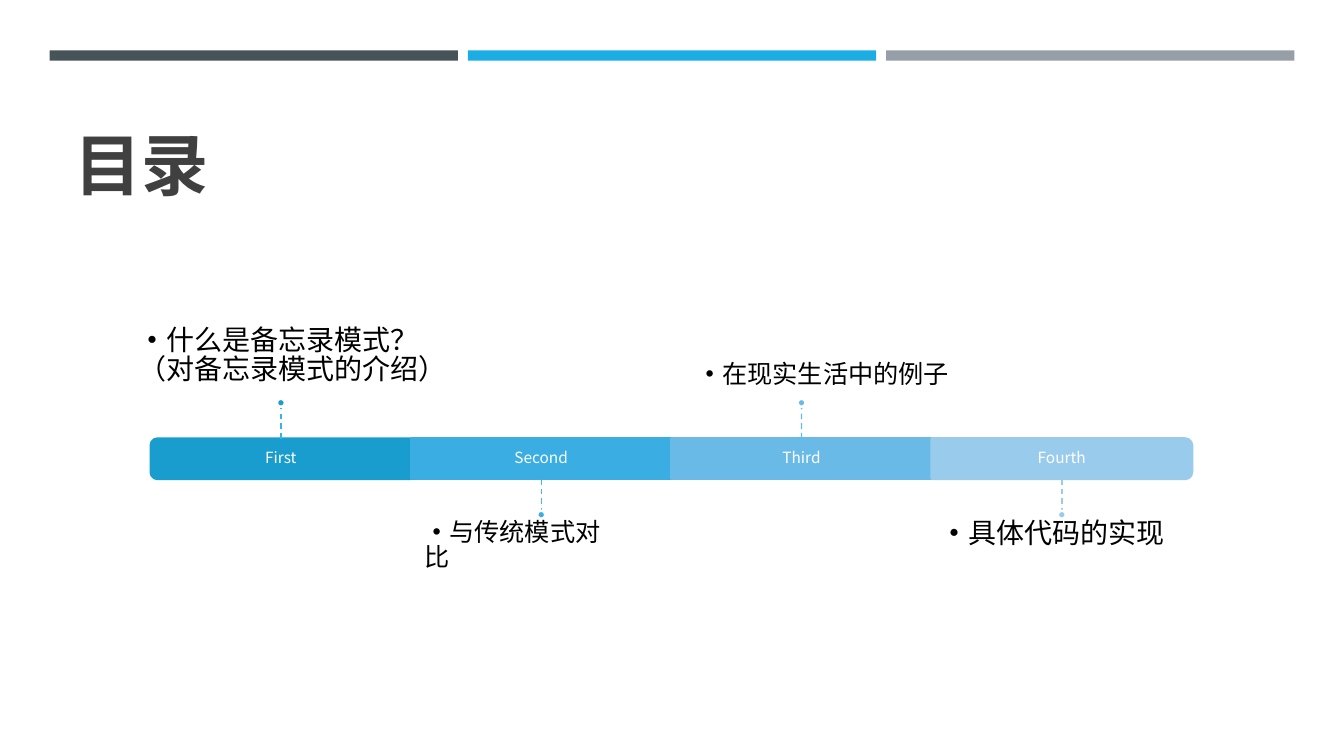
import pptx
import pptx.util
import pptx.dml.color
import pptx.enum.dml
import pptx.enum.shapes
import pptx.enum.text
import pptx.oxml.ns
from lxml import etree

Cm = pptx.util.Cm
Pt = pptx.util.Pt
RGBColor = pptx.dml.color.RGBColor
MSO_SHAPE = pptx.enum.shapes.MSO_SHAPE
MSO_ANCHOR = pptx.enum.text.MSO_ANCHOR
MSO_AUTO_SIZE = pptx.enum.text.MSO_AUTO_SIZE
PP_ALIGN = pptx.enum.text.PP_ALIGN
qn = pptx.oxml.ns.qn

WHITE = RGBColor(0xFF, 0xFF, 0xFF)
BLACK = RGBColor(0x00, 0x00, 0x00)
TITLE_GREY = RGBColor(0x40, 0x40, 0x40)
STRIP_COLORS = (
    RGBColor(0x46, 0x53, 0x59),
    RGBColor(0x1C, 0xAD, 0xE4),
    RGBColor(0x96, 0x9F, 0xA7),
)

STRIP_LEFT, STRIP_PITCH, STRIP_WIDTH = 1.25, 10.54, 10.29
BAR_LEFT, BAR_TOP, BAR_HEIGHT = 3.8, 11.05, 1.02
STEP_WIDTH, STEM_LENGTH, DOT_SIZE = 6.56, 0.8, 0.2

# label, segment colour, stem colour, rotation of a rounded end, callout above the bar
STEPS = (
    ("First", RGBColor(0x19, 0x9D, 0xCF), RGBColor(0x36, 0xB3, 0xE9), 270, True),
    ("Second", RGBColor(0x3A, 0xAD, 0xE3), RGBColor(0x48, 0xB8, 0xEC), 0, False),
    ("Third", RGBColor(0x6A, 0xBA, 0xE7), RGBColor(0x5A, 0xBE, 0xEF), 0, True),
    ("Fourth", RGBColor(0x99, 0xCB, 0xEC), RGBColor(0x98, 0xCB, 0xEC), 90, False),
)

# left, top, width, height, size, font, lines
TOPICS = (
    (3.23, 8.15, 8.59, 2.74, 20, "Noto Sans CJK SC",
     ("什么是备忘录模式？", "（对备忘录模式的介绍）")),
    (10.44, 13.0, 5.31, 1.8, 18, "Noto Sans CJK SC", ("与传统模式对比",)),
    (17.32, 9.02, 6.88, 1.02, 18, "Noto Sans CJK SC", ("在现实生活中的例子",)),
    (23.44, 13.0, 7.42, 1.12, 20, "Roboto", ("具体代码的实现",)),
)


class Agenda:
    font = "Noto Sans CJK SC"

    def __init__(self, deck):
        self.slide = deck.slides.add_slide(deck.slide_layouts[5])
        self.shapes = self.slide.shapes

    def style_run(self, run, size, color, bold=False, font=None):
        """Set the same typeface for Latin and East Asian text."""
        name = font or self.font
        run.font.size = Pt(size)
        run.font.bold = bold
        run.font.color.rgb = color
        run.font.name = name
        latin = run.font._element.find(qn("a:latin"))
        east_asian = etree.Element(qn("a:ea"), typeface=name)
        latin.addnext(east_asian)

    def title(self, text):
        title = self.shapes.title
        title.left, title.top = Cm(1.63), Cm(1.96)
        title.width, title.height = Cm(30.63), Cm(3.3)
        frame = title.text_frame
        frame.vertical_anchor = MSO_ANCHOR.BOTTOM
        paragraph = frame.paragraphs[0]
        paragraph.alignment = PP_ALIGN.LEFT
        paragraph.line_spacing = 0.84
        run = paragraph.add_run()
        run.text = text
        self.style_run(run, 48, TITLE_GREY, bold=True)

    def block(self, kind, left, top, width, height, fill, line=None):
        block = self.shapes.add_shape(kind, Cm(left), Cm(top), Cm(width), Cm(height))
        block.shadow.inherit = False
        block.fill.solid()
        block.fill.fore_color.rgb = fill
        if line is None:
            block.line.fill.background()
        else:
            block.line.color.rgb = line
            block.line.width = Pt(1.75)
        return block

    def segment(self, left, color, rotation):
        if not rotation:
            return self.block(MSO_SHAPE.RECTANGLE, left, BAR_TOP,
                              STEP_WIDTH, BAR_HEIGHT, color, color)
        # An end piece stands upright before it is turned about its centre.
        shift = (STEP_WIDTH - BAR_HEIGHT) / 2
        end = self.block(MSO_SHAPE.ROUND_2_SAME_RECTANGLE, left + shift, BAR_TOP - shift,
                         BAR_HEIGHT, STEP_WIDTH, color, color)
        end.rotation = rotation
        return end

    def label(self, text, left):
        box = self.shapes.add_textbox(Cm(left), Cm(BAR_TOP), Cm(STEP_WIDTH), Cm(BAR_HEIGHT))
        frame = box.text_frame
        frame.word_wrap = True
        frame.vertical_anchor = MSO_ANCHOR.MIDDLE
        paragraph = frame.paragraphs[0]
        paragraph.alignment = PP_ALIGN.CENTER
        paragraph.line_spacing = 0.9
        run = paragraph.add_run()
        run.text = text
        self.style_run(run, 11, WHITE)

    def stem(self, x, start, end, color):
        stem = self.shapes.add_connector(pptx.enum.shapes.MSO_CONNECTOR.STRAIGHT,
                                         Cm(x), Cm(start), Cm(x), Cm(end))
        stem.line.color.rgb = color
        stem.line.width = Pt(1)
        stem.line.dash_style = pptx.enum.dml.MSO_LINE.DASH
        etree.SubElement(stem._element.spPr, qn("a:effectLst"))
        return stem

    def step(self, index, text, color, stem_color, rotation, above):
        left = BAR_LEFT + index * STEP_WIDTH
        middle = left + STEP_WIDTH / 2
        segment = self.segment(left, color, rotation)
        self.label(text, left)
        if above:
            edge, tip = BAR_TOP, BAR_TOP - STEM_LENGTH
            dot_top = tip - DOT_SIZE
        else:
            edge = BAR_TOP + BAR_HEIGHT
            tip = dot_top = edge + STEM_LENGTH
        stem = self.stem(middle, edge, tip, stem_color)
        if not rotation:
            stem.begin_connect(segment, 0 if above else 2)
        self.block(MSO_SHAPE.OVAL, middle - DOT_SIZE / 2, dot_top,
                   DOT_SIZE, DOT_SIZE, color, WHITE)

    def topic(self, left, top, width, height, size, font, lines):
        box = self.shapes.add_textbox(Cm(left), Cm(top), Cm(width), Cm(height))
        frame = box.text_frame
        frame.word_wrap = True
        frame.auto_size = MSO_AUTO_SIZE.SHAPE_TO_FIT_TEXT
        for number, line in enumerate(lines):
            paragraph = frame.add_paragraph() if number else frame.paragraphs[0]
            paragraph.line_spacing = 0.84
            if number == 0:
                dot = paragraph.add_run()
                dot.text = "·"
                self.style_run(dot, size, BLACK, bold=True)
            run = paragraph.add_run()
            run.text = line
            self.style_run(run, size, BLACK, font=font)


def main():
    deck = pptx.Presentation()
    deck.slide_width, deck.slide_height = Cm(33.87), Cm(19.05)
    agenda = Agenda(deck)
    for index, color in enumerate(STRIP_COLORS):
        agenda.block(MSO_SHAPE.RECTANGLE, STRIP_LEFT + index * STRIP_PITCH, 1.27,
                     STRIP_WIDTH, 0.26, color)
    agenda.title("目录")
    for index, step in enumerate(STEPS):
        agenda.step(index, *step)
    for topic in TOPICS:
        agenda.topic(*topic)
    deck.save("out.pptx")


if __name__ == "__main__":
    main()
